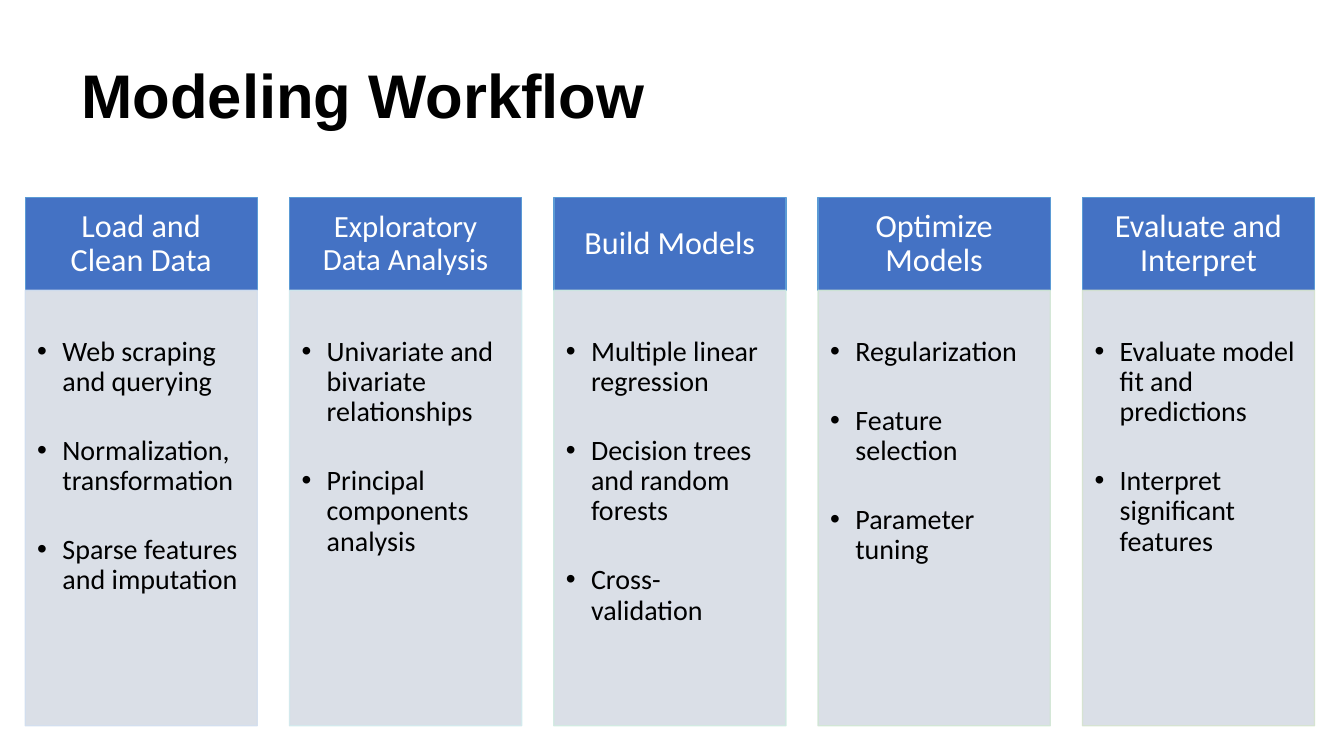
from lxml import etree
from pptx import Presentation
from pptx.dml.color import RGBColor
from pptx.enum import shapes, text
from pptx.oxml import ns
from pptx.util import Pt

COLORS = {
    "black": "000000",
    "white": "FFFFFF",
    "header": "4472C4",
    "header_line": "5B9BD5",
    "body": "D6DCE5",
}
STAGES = [
    ("Load and Clean Data", 23, "D2DEEF",
     ["Web scraping and querying", "Normalization, transformation",
      "Sparse features and imputation"]),
    ("Exploratory Data Analysis", 22, "D1E9ED",
     ["Univariate and bivariate relationships", "Principal components analysis"]),
    ("Build Models", 23, "D0EAE1",
     ["Multiple linear regression", "Decision trees and random forests",
      "Cross-validation"]),
    ("Optimize Models", 23, "D0E6D4",
     ["Regularization", "Feature selection", "Parameter tuning"]),
    ("Evaluate and Interpret", 23, "D5E3CF",
     ["Evaluate model fit and predictions", "Interpret significant features"]),
]
LEFT, TOP, WIDTH, PITCH = 18, 141.1, 165.8, 188.8
HEADER_HEIGHT, BODY_HEIGHT = 66.3, 311


def write(shape, paragraphs, size, color="black", font="Calibri", bold=False,
          align=text.PP_ALIGN.LEFT, anchor=text.MSO_ANCHOR.MIDDLE,
          insets=(7.2, 3.6, 7.2, 3.6), bullet=False, gap=0):
    """Fill a shape with paragraphs; insets run left, top, right, bottom."""
    frame = shape.text_frame
    frame.word_wrap = True
    frame.vertical_anchor = anchor
    (frame.margin_left, frame.margin_top,
     frame.margin_right, frame.margin_bottom) = map(Pt, insets)
    for index, words in enumerate(paragraphs):
        paragraph = frame.add_paragraph() if index else frame.paragraphs[0]
        paragraph.text = words
        paragraph.alignment = align
        paragraph.line_spacing = 0.9
        if index:
            paragraph.space_before = Pt(gap)
        if bullet:
            properties = paragraph._p.get_or_add_pPr()
            properties.set("marL", str(Pt(18)))
            properties.set("indent", str(-Pt(18)))
            etree.SubElement(properties, ns.qn("a:buFont"), typeface="Arial")
            etree.SubElement(properties, ns.qn("a:buChar"), char="•")
        paragraph.font.name = font
        paragraph.font.size = Pt(size)
        paragraph.font.bold = bold
        paragraph.font.color.rgb = RGBColor.from_string(COLORS[color])


def add_panel(left, top, height, fill, line, opacity=100):
    panel = slide.shapes.add_shape(
        shapes.MSO_SHAPE.RECTANGLE, Pt(left), Pt(top), Pt(WIDTH), Pt(height))
    panel.shadow.inherit = False
    panel.fill.solid()
    panel.fill.fore_color.rgb = RGBColor.from_string(fill)
    panel.line.color.rgb = RGBColor.from_string(line)
    panel.line.width = Pt(1)
    if opacity < 100:
        for color in panel._element.spPr.iter(ns.qn("a:srgbClr")):
            etree.SubElement(color, ns.qn("a:alpha"), val=str(opacity * 1000))
    return panel


presentation = Presentation()
presentation.slide_width, presentation.slide_height = Pt(960), Pt(540)
slide = presentation.slides.add_slide(presentation.slide_layouts[6])

title = slide.shapes.add_textbox(Pt(51.1), Pt(18), Pt(858.2), Pt(104.4))
write(title, ["Modeling Workflow"], 44, font="Arial", bold=True)

for column, (heading, heading_size, body_line, steps) in enumerate(STAGES):
    left = LEFT + column * PITCH
    header = add_panel(left, TOP, HEADER_HEIGHT,
                       COLORS["header"], COLORS["header_line"])
    write(header, [heading], heading_size, "white",
          align=text.PP_ALIGN.CENTER, insets=(12.6, 7.2, 12.6, 7.2))
    body = add_panel(left, TOP + HEADER_HEIGHT, BODY_HEIGHT,
                     COLORS["body"], body_line, opacity=90)
    write(body, steps, 20, anchor=text.MSO_ANCHOR.TOP,
          insets=(8.6, 33.4, 11.5, 12.2), bullet=True, gap=27.6)

presentation.save("out.pptx")
